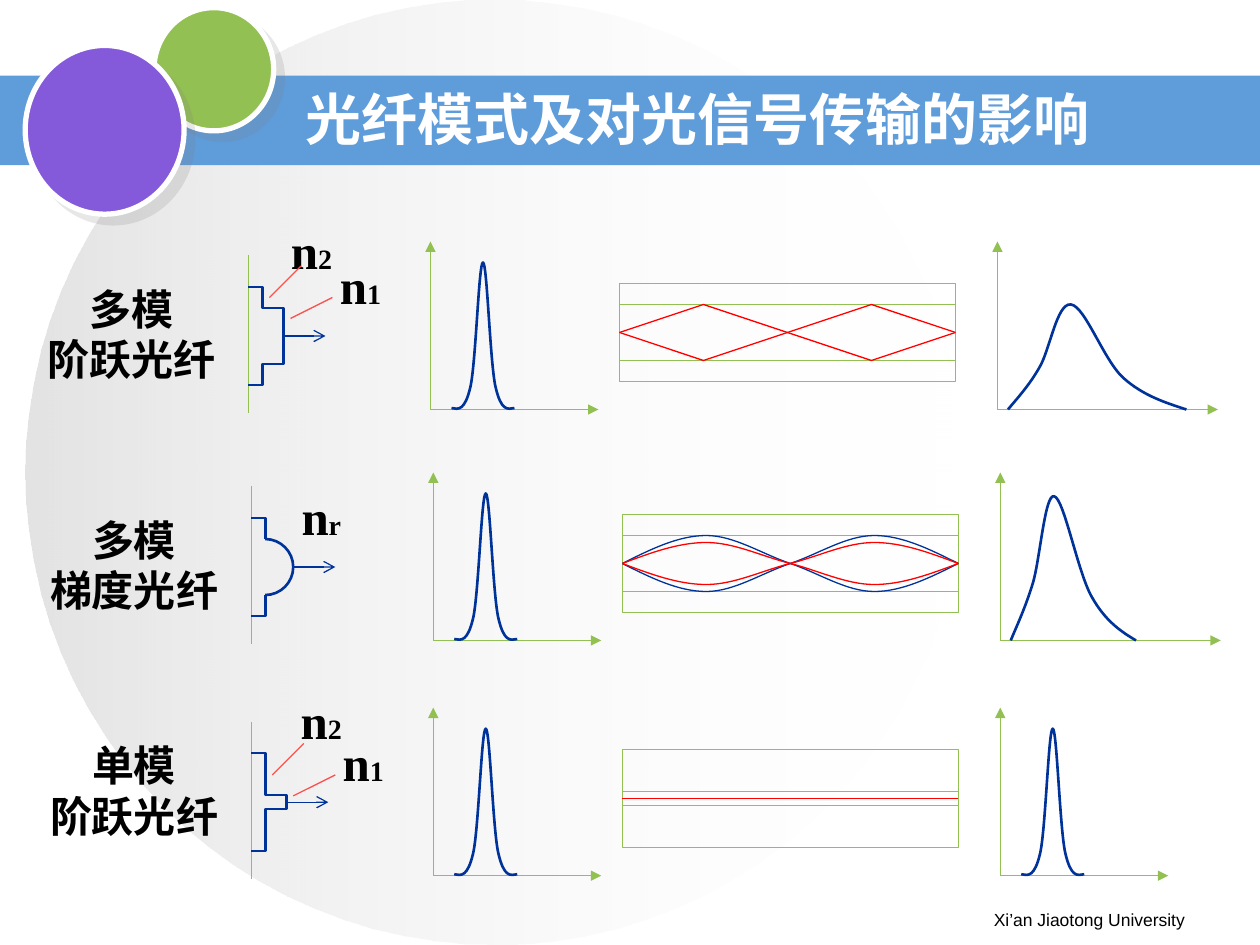
from dataclasses import dataclass

from lxml import etree
from pptx import Presentation
from pptx.dml.color import RGBColor
from pptx.enum.shapes import MSO_CONNECTOR, MSO_SHAPE
from pptx.enum.text import MSO_ANCHOR, PP_ALIGN
from pptx.oxml.ns import qn
from pptx.util import Emu, Inches, Pt

STRAIGHT = MSO_CONNECTOR.STRAIGHT
RECTANGLE, OVAL = MSO_SHAPE.RECTANGLE, MSO_SHAPE.OVAL
CENTER, RIGHT = PP_ALIGN.CENTER, PP_ALIGN.RIGHT
TOP, MIDDLE = MSO_ANCHOR.TOP, MSO_ANCHOR.MIDDLE

# The slide is a grid of 180 columns and 135 rows, 18 cells to the inch
CELL = Inches(1) / 18
COLUMNS, ROWS = 180, 135
COLORS = {
    "white": "FFFFFF", "black": "000000", "silver": "C0C0C0", "shadow": "808080",
    "band": "5E9CDA", "green": "93C052", "purple": "855ADA",
    "navy": "003399", "ray": "FF0000", "leader": "FF5050",
}
Points = list[tuple[float, float]]

# Columns of the parts, counted from the profile axis of a row
INPUT, FIBRE, OUTPUT = 26, 53, 107
FIBRE_WIDTH, FIBRE_TOP, FIBRE_HEIGHT = 48, -18, 14
CORE_MIDDLE, PROFILE_MIDDLE = -11, -10.5
PROFILE_TOP, PROFILE_BOTTOM = -17.5, -3.5

# Bezier points of the pulses, counted from the corner of their axes
NARROW_RISE = [(3, -0.2), (4, 0), (4.9, 0.2), (5.7, -3.2), (6.5, -6.7), (6.9, -21)]
NARROW = NARROW_RISE + [(7.5, -21)] + [(15 - x, y) for x, y in reversed(NARROW_RISE)]
BROAD = [(1.5, 0), (3, -1.8), (4.5, -3.4), (6, -6), (7.5, -8.5), (8.5, -15.3),
         (10.5, -15), (12.5, -14.8), (15.2, -7), (18, -4.5), (20.8, -2),
         (23.9, -1), (27, 0)]
MEDIUM = [(1.5, 0), (2.5, -2.4), (3.6, -4.7), (4.7, -8.3), (5.7, -11.8), (6.4, -21),
          (7.7, -20.6), (9.1, -20.4), (11.1, -9.6), (13.1, -6.2), (15, -2.8),
          (17.2, -1.3), (19.4, 0)]
WAVE = [0, -1 / 2, -1, -1, -1, -1 / 3, 0, 1 / 3, 1, 1, 1, 1 / 2, 0]


@dataclass
class FibreRow:
    left: float
    baseline: float
    label: tuple[str, str]
    label_top: float
    core: tuple[float, float]
    pulse: Points
    output_width: float
    profile_width: float

    def place(self, points: Points, column: float = 0) -> Points:
        return [(self.left + column + x, self.baseline + y) for x, y in points]


def grid(cells: float) -> Emu:
    return Emu(round(cells * CELL))


def color(name: str) -> RGBColor:
    return RGBColor.from_string(COLORS[name])


def set_alpha(element, percent: int) -> None:
    etree.SubElement(element, qn("a:alpha"), val=str(percent * 1000))


def add_shape(kind, left, top, width, height, fill=None, line=None, weight=0.75):
    shape = slide.shapes.add_shape(kind, *map(grid, (left, top, width, height)))
    shape.shadow.inherit = False
    if fill:
        shape.fill.solid()
        shape.fill.fore_color.rgb = color(fill)
    else:
        shape.fill.background()
    if line:
        shape.line.color.rgb = color(line)
        shape.line.width = Pt(weight)
    else:
        shape.line.fill.background()
    return shape


def add_disc(left, top, width, height, fill) -> None:
    disc = add_shape(OVAL, left, top, width, height, fill, "white", 3)
    effects = disc._element.spPr.find(qn("a:effectLst"))
    shadow = etree.SubElement(effects, qn("a:outerShdw"), dist=str(Pt(7.1)),
                              dir="2700000", algn="ctr", rotWithShape="0")
    set_alpha(etree.SubElement(shadow, qn("a:srgbClr"), val=COLORS["shadow"]), 19)


def add_line(points: Points, line="green", head=None):
    (x1, y1), (x2, y2) = points
    connector = slide.shapes.add_connector(STRAIGHT, *map(grid, (x1, y1, x2, y2)))
    connector.line.color.rgb = color(line)
    connector.line.width = Pt(0.75)
    if head:
        etree.SubElement(connector.line._get_or_add_ln(), qn("a:tailEnd"), type=head)
    etree.SubElement(connector._element.spPr, qn("a:effectLst"))
    return connector


def add_path(points: Points, line="navy", weight=1.5, curved=False) -> None:
    """Draw an open outline; a curved one takes three points per Bezier segment."""
    start, *others = [(grid(x), grid(y)) for x, y in points]
    builder = slide.shapes.build_freeform(*start, scale=1.0)
    builder.add_line_segments(others, close=False)
    shape = builder.convert_to_shape()
    shape.shadow.inherit = False
    shape.fill.background()
    shape.line.color.rgb = color(line)
    shape.line.width = Pt(weight)
    if curved:
        outline = shape._element.spPr.find(".//" + qn("a:path"))
        segments = outline.findall(qn("a:lnTo"))
        for index in range(0, len(segments), 3):
            curve = etree.SubElement(outline, qn("a:cubicBezTo"))
            for segment in segments[index:index + 3]:
                curve.append(segment[0])
                outline.remove(segment)


def add_text(lines, left, top, width, height, *, font="Times New Roman", size=24,
             fill="black", bold=True, align=CENTER, anchor=TOP, insets=(0, 0)) -> None:
    """Each line is a string or a list of (text, size) runs."""
    box = slide.shapes.add_textbox(*map(grid, (left, top, width, height)))
    frame = box.text_frame
    frame.word_wrap = True
    frame.vertical_anchor = anchor
    frame.margin_left = frame.margin_right = Inches(insets[0])
    frame.margin_top = frame.margin_bottom = Inches(insets[1])
    for index, line in enumerate(lines):
        paragraph = frame.add_paragraph() if index else frame.paragraphs[0]
        paragraph.alignment = align
        for text, run_size in [(line, size)] if isinstance(line, str) else line:
            run = paragraph.add_run()
            run.text = text
            run.font.name, run.font.size, run.font.bold = font, Pt(run_size), bold
            run.font.color.rgb = color(fill)


def add_axes(row: FibreRow, column: float, width: float) -> None:
    for end in [(width, 0), (0, -24)]:
        add_line(row.place([(0, 0), end], column), head="triangle")


def add_index(row: FibreRow, subscript: str, x: float, y: float) -> None:
    add_text([[("n", 28), (subscript, 16)]], row.left + x, row.baseline + y, 8, 8)


def add_callouts(row: FibreRow, upper: tuple[float, float], drop: float = 0) -> None:
    add_index(row, "2", *upper)
    add_index(row, "1", 12, drop - 22)
    for start, end in [((3, -16), (7.5, -20.5)), ((6, -13), (12, -16))]:
        leader = [(x, y + drop) for x, y in (start, end)]
        add_line(row.place(leader), "leader")


def add_step_profile(row: FibreRow, upper: float, lower: float) -> None:
    add_path(row.place([(0, PROFILE_TOP), (2, PROFILE_TOP), (2, upper), (5, upper),
                        (5, lower), (2, lower), (2, PROFILE_BOTTOM), (0, PROFILE_BOTTOM)]))


def add_row(row: FibreRow):
    """Draw what all rows share and return the fibre cladding."""
    x, y = row.left, row.baseline
    add_text(row.label, x - 29.5, y + row.label_top, 25.5, 16.5)
    add_line(row.place([(0, 0.5), (0, -22)]))
    tip = row.profile_width
    add_line(row.place([(tip, PROFILE_MIDDLE), (tip + 6, PROFILE_MIDDLE)]), "navy", "arrow")
    add_axes(row, INPUT, 24)
    add_path(row.place(NARROW, INPUT), curved=True)
    add_axes(row, OUTPUT, row.output_width)
    # The narrow output pulse sits on its axes like the input pulse
    add_path(row.place(row.pulse, OUTPUT), curved=True)
    cladding = add_shape(RECTANGLE, x + FIBRE, y + FIBRE_TOP, FIBRE_WIDTH, FIBRE_HEIGHT,
                         line="green")
    for edge in row.core:
        add_line(row.place([(0, edge), (FIBRE_WIDTH, edge)], FIBRE))
    return cladding


presentation = Presentation()
presentation.slide_width, presentation.slide_height = grid(COLUMNS), grid(ROWS)
slide = presentation.slides.add_slide(presentation.slide_layouts[6])

# Background disc, title band and ornaments
backdrop = add_shape(OVAL, 3.6, 0, 134, ROWS)
backdrop.fill.gradient()
backdrop.fill.gradient_angle = 180
for stop, name in zip(backdrop.fill.gradient_stops, ("white", "silver")):
    stop.color.rgb = color(name)
for element, percent in zip(backdrop._element.spPr.iter(qn("a:srgbClr")), (0, 44)):
    set_alpha(element, percent)
add_shape(RECTANGLE, 0, 10.8, COLUMNS, 12.8, "band")
add_disc(22, 1.1, 17.1, 17.6, "green")
add_disc(3.6, 6.5, 22.7, 24.1, "purple")
add_text(["光纤模式及对光信号传输的影响"], 40.5, 12.1, 118.4, 9.5, font="Arial", size=32,
         fill="white", anchor=MIDDLE)
add_text(["Xi’an Jiaotong University"], 129, 129, 42, 4.9, font="Arial", size=10,
         bold=False, align=RIGHT, insets=(0.1, 0.05))

# Multimode step-index fibre
step = FibreRow(35.5, 58.5, ("多模", "阶跃光纤"), -18, (-15, -7), BROAD, 31.5, 5)
add_row(step)
add_step_profile(step, -14.5, -6.5)
add_callouts(step, (5, -27))
for side in (-4, 4):
    zigzag = [(0, 0), (12, side), (36, -side), (48, 0)]
    add_path(step.place([(x, CORE_MIDDLE + y) for x, y in zigzag], FIBRE), "ray", 0.75)

# Multimode graded-index fibre
graded = FibreRow(35.9, 91.5, ("多模", "梯度光纤"), -18, (-15, -7), MEDIUM, 31.5, 6)
add_row(graded)
add_index(graded, "r", 6, -22)
for side in (-1, 1):
    bracket = [(2, 4 * side), (2, 7 * side), (0, 7 * side)]
    add_path(graded.place([(x, PROFILE_MIDDLE + y) for x, y in bracket]))
bulge = [(2, -4), (4.2, -4), (6, -2.2), (6, 0), (6, 2.2), (4.2, 4), (2, 4)]
add_path(graded.place([(x, PROFILE_MIDDLE + y) for x, y in bulge]), curved=True)
for name, amplitude in [("navy", 4), ("navy", -4), ("ray", 3), ("ray", -3)]:
    wave = [(4 * i, CORE_MIDDLE + amplitude * share) for i, share in enumerate(WAVE)]
    add_path(graded.place(wave, FIBRE), name, 0.75, curved=True)

# Single-mode step-index fibre
single = FibreRow(35.9, 125.1, ("单模", "阶跃光纤"), -19.4, (-12, -10), NARROW, 24, 5)
single_cladding = add_row(single)
add_step_profile(single, -11.5, -9.5)
add_callouts(single, (6, -26.5), 1.6)
ray = add_line(single.place([(0, CORE_MIDDLE), (FIBRE_WIDTH, CORE_MIDDLE)], FIBRE), "ray")
ray.begin_connect(single_cladding, 1)
ray.end_connect(single_cladding, 3)

presentation.save("out.pptx")
